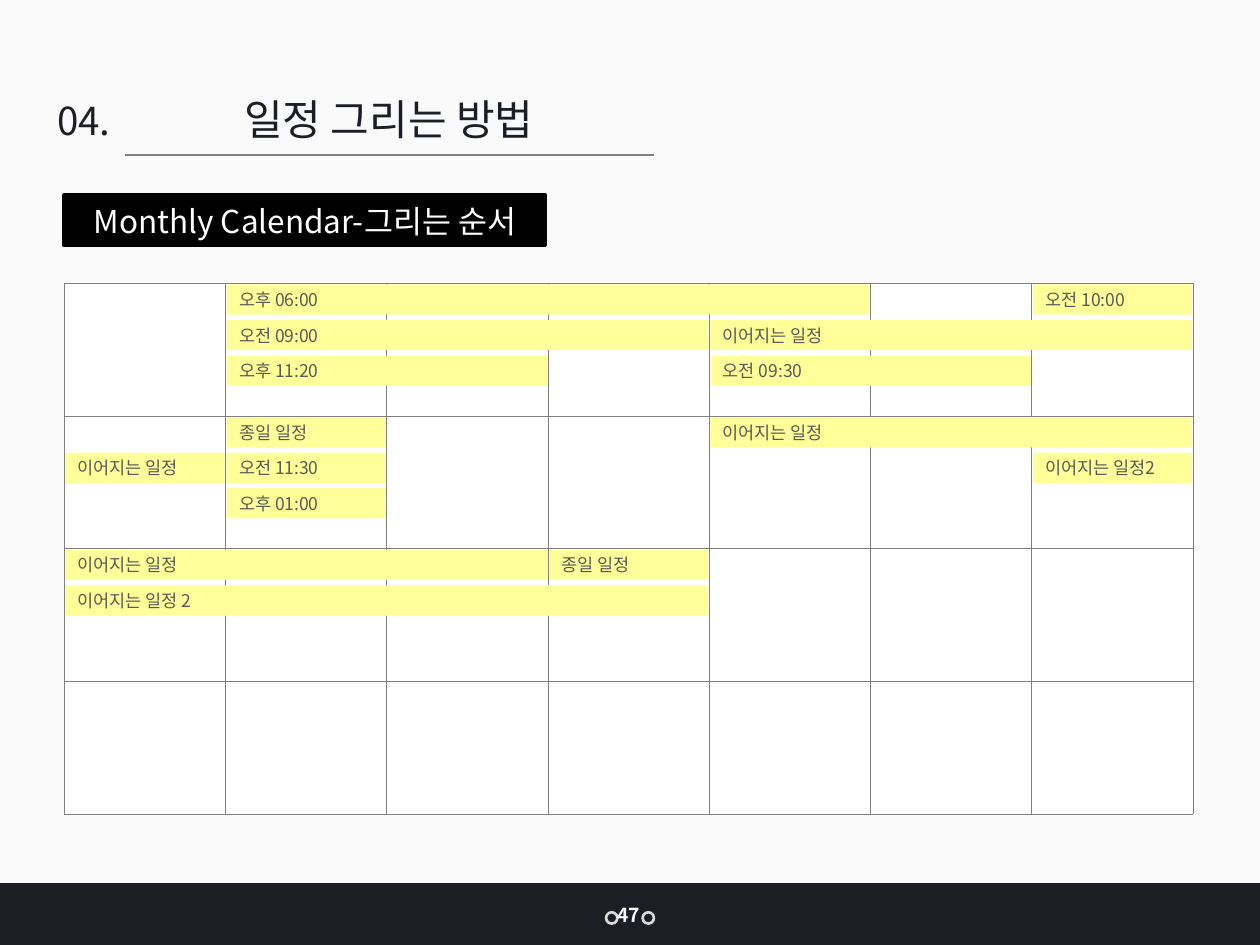
from lxml import etree
from pptx import Presentation
from pptx import util as u
from pptx.dml.color import RGBColor
from pptx.enum import shapes, text
from pptx.oxml import ns

FONT = "Noto Sans CJK KR"
INK, GREY, WHITE = "1B1E25", "808080", "FFFFFF"
RECT, OVAL = shapes.MSO_SHAPE.RECTANGLE, shapes.MSO_SHAPE.OVAL
CENTER, LEFT = text.PP_ALIGN.CENTER, text.PP_ALIGN.LEFT

ROWS, COLUMNS = 4, 7
GRID_LEFT, GRID_TOP = 36.8, 162
CELL_WIDTH, CELL_HEIGHT = 92.15, 75.8
BAR_HEIGHT, LANE_STEP, BAR_INSET = 17.28, 20.3, 0.6

# week, lane within the week, first day, number of days, label
EVENTS = [
    (0, 0, 1, 4, "오후 06:00"),
    (0, 1, 1, 3, "오전 09:00"),
    (0, 2, 1, 2, "오후 11:20"),
    (0, 0, 6, 1, "오전 10:00"),
    (0, 1, 4, 3, "이어지는 일정"),
    (0, 2, 4, 2, "오전 09:30"),
    (1, 0, 1, 1, "종일 일정"),
    (1, 1, 1, 1, "오전 11:30"),
    (1, 2, 1, 1, "오후 01:00"),
    (1, 1, 0, 1, "이어지는 일정"),
    (1, 0, 4, 3, "이어지는 일정"),
    (1, 1, 6, 1, "이어지는 일정2"),
    (2, 0, 0, 3, "이어지는 일정"),
    (2, 0, 3, 1, "종일 일정"),
    (2, 1, 0, 4, "이어지는 일정 2"),
]


def paint(color_format, color):
    color_format.rgb = RGBColor.from_string(color)


def fill_solid(fill, color):
    fill.solid()
    paint(fill.fore_color, color)


def points(*lengths):
    return [u.Pt(length) for length in lengths]


def write(box, words, size, color, align=CENTER, bold=False):
    frame = box.text_frame
    frame.text = words
    para = frame.paragraphs[0]
    para.alignment = align
    span = para.runs[0]
    span.font.size, span.font.bold, span.font.name = u.Pt(size), bold, FONT
    paint(span.font.color, color)
    east_asian = etree.SubElement(span.font._element, ns.qn("a:ea"))
    east_asian.set("typeface", FONT)


def add_block(page, kind, place, fill, line=None, weight=1):
    block = page.shapes.add_shape(kind, *points(*place))
    block.shadow.inherit = False
    fill_solid(block.fill, fill)
    if line:
        paint(block.line.color, line)
        block.line.width = u.Pt(weight)
    else:
        block.line.fill.background()
    return block


def add_label(page, place, words, size, color, wrap=True, **style):
    box = page.shapes.add_textbox(*points(*place))
    box.text_frame.word_wrap = wrap
    write(box, words, size, color, **style)


def add_rule(page, left, right, top):
    rule = page.shapes.add_connector(
        shapes.MSO_CONNECTOR.STRAIGHT, *points(left, top, right, top))
    paint(rule.line.color, GREY)
    rule.line.width = u.Pt(0.75)
    etree.SubElement(rule._element.spPr, ns.qn("a:effectLst"))


def set_borders(cell, color, weight):
    properties = cell._tc.get_or_add_tcPr()
    for side in ("lnL", "lnR", "lnT", "lnB"):
        border = etree.SubElement(properties, ns.qn("a:" + side), w=str(u.Pt(weight)))
        solid = etree.SubElement(border, ns.qn("a:solidFill"))
        etree.SubElement(solid, ns.qn("a:srgbClr"), val=color)


def add_calendar(page):
    place = (GRID_LEFT, GRID_TOP, COLUMNS * CELL_WIDTH, ROWS * CELL_HEIGHT)
    table = page.shapes.add_table(ROWS, COLUMNS, *points(*place)).table
    table.first_row = table.horz_banding = False
    for column in table.columns:
        column.width = u.Pt(CELL_WIDTH)
    for row in table.rows:
        row.height = u.Pt(CELL_HEIGHT)
    for cell in table.iter_cells():
        set_borders(cell, GREY, 0.5)
        fill_solid(cell.fill, WHITE)


def add_event(page, week, lane, day, days, label):
    place = (GRID_LEFT + day * CELL_WIDTH + BAR_INSET,
             GRID_TOP + week * CELL_HEIGHT + lane * LANE_STEP + BAR_INSET,
             days * CELL_WIDTH - 2 * BAR_INSET,
             BAR_HEIGHT)
    bar = add_block(page, RECT, place, "FFFF99")
    bar.text_frame.vertical_anchor = text.MSO_ANCHOR.MIDDLE
    write(bar, label, 10, "595959", align=LEFT)


def add_heading(page):
    title = page.shapes.title
    title.left, title.top, title.width, title.height = points(50.4, 49.7, 343.4, 36)
    write(title, "일정 그리는 방법", 24, INK)
    add_rule(page, 71.3, 373.7, 88.6)
    add_label(page, (21.6, 51.8, 57.6, 33.8), "04. ", 22, INK)
    banner = add_block(page, RECT, (36.7, 111.6, 275, 28.8), "000000", "000000", 2)
    write(banner, "Monthly Calendar-그리는 순서", 18, WHITE)


def add_footer(page):
    add_block(page, RECT, (0, 504.7, 720, 35.3), INK)
    for left in (346.3, 367.2):
        add_block(page, OVAL, (left, 521.3, 6.5, 6.5), INK, "D8DBD7", 1.5)
    add_label(page, (345.6, 512.6, 28.1, 20.9), "47", 11, WHITE,
              wrap=False, align=LEFT, bold=True)


def main():
    deck = Presentation()
    deck.slide_width, deck.slide_height = points(720, 540)
    page = deck.slides.add_slide(deck.slide_layouts.get_by_name("Title Only"))
    fill_solid(page.background.fill, "FAFAFA")
    add_heading(page)
    add_calendar(page)
    for event in EVENTS:
        add_event(page, *event)
    add_footer(page)
    deck.save("out.pptx")


if __name__ == "__main__":
    main()
